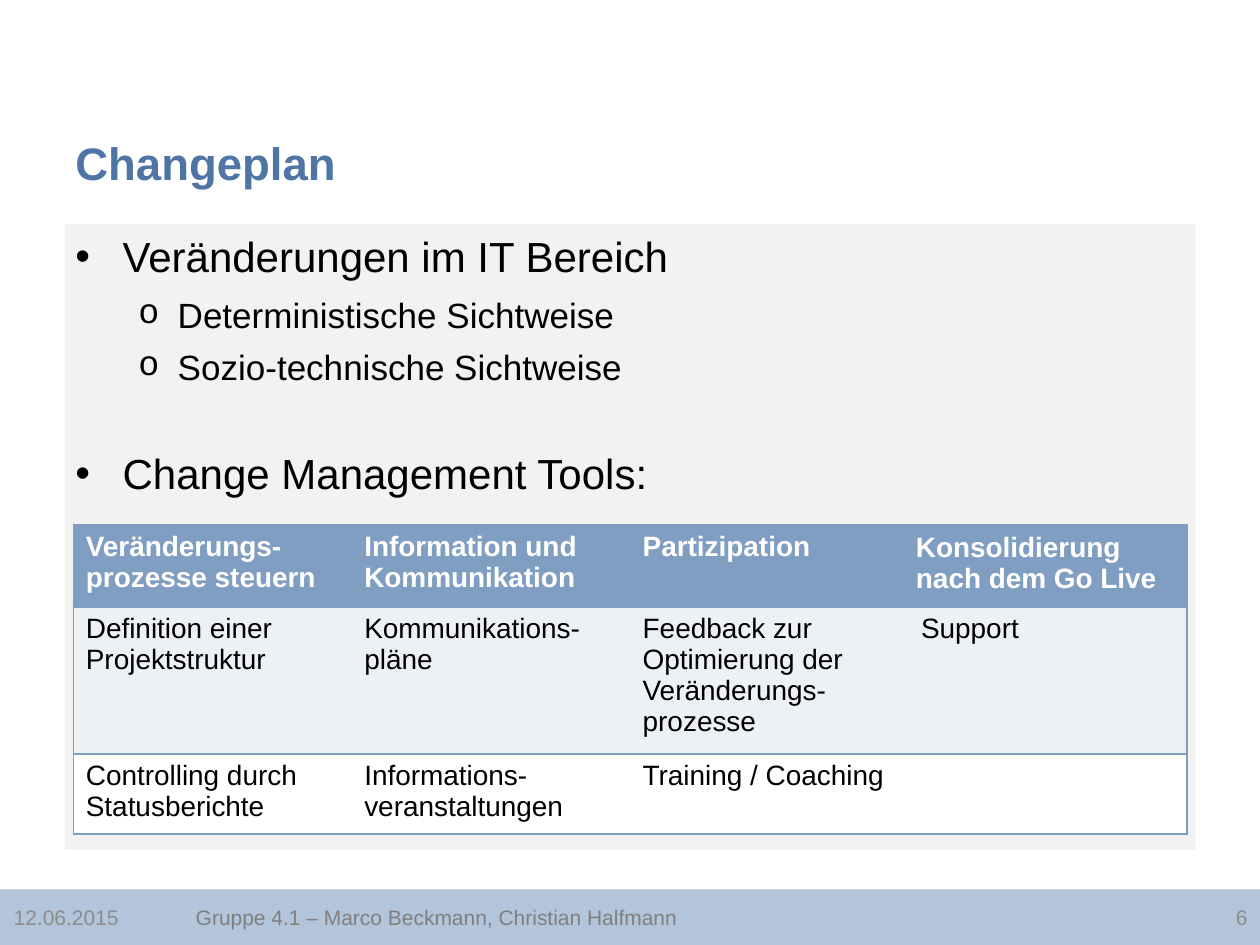
"""Build the Changeplan slide with bullets, a tools table and a footer bar."""
from lxml.etree import SubElement
from pptx import Presentation
from pptx.dml.color import RGBColor
from pptx.enum.shapes import MSO_SHAPE as SHAPE
from pptx.enum.text import MSO_ANCHOR as ANCHOR, PP_ALIGN as ALIGN
from pptx.oxml import parse_xml
from pptx.oxml.ns import nsdecls, qn
from pptx.util import Pt

BLACK = RGBColor(0x00, 0x00, 0x00)
WHITE = RGBColor(0xFF, 0xFF, 0xFF)
PANEL = RGBColor(0xF2, 0xF2, 0xF2)
BAR = RGBColor(0xB3, 0xC5, 0xDA)
TITLE = RGBColor(0x4E, 0x75, 0xA3)
BLUE = RGBColor(0x80, 0x9E, 0xC2)
BAND = RGBColor(0xED, 0xF0, 0xF4)
GREY = RGBColor(0x8C, 0x8C, 0x8C)
DARK_GREY = RGBColor(0x7F, 0x7F, 0x7F)


def write(p, text, size, color, bold=False):
    r = p.add_run()
    r.text = text
    for name, value in {"name": "Arial", "size": Pt(size), "bold": bold}.items():
        setattr(r.font, name, value)
    r.font.color.rgb = color


def text_box(s, box, anchor):
    tf = s.shapes.add_textbox(*map(Pt, box)).text_frame
    tf.word_wrap = True
    tf.vertical_anchor = anchor
    return tf


prs = Presentation()
prs.slide_width, prs.slide_height = Pt(720), Pt(540)
s = prs.slides.add_slide(prs.slide_layouts[6])

for box, color in [((36.9, 128.1, 646.2, 357.4), PANEL), ((0, 508.2, 720, 31.8), BAR)]:
    sp = s.shapes.add_shape(SHAPE.RECTANGLE, *map(Pt, box))
    sp.shadow.inherit = False
    sp.fill.solid()
    sp.fill.fore_color.rgb = color
    sp.line.fill.background()

tf = text_box(s, (36, 21.6, 648, 90), ANCHOR.BOTTOM)
write(tf.paragraphs[0], "Changeplan", 26, TITLE, True)

bullets = [
    ("Veränderungen im IT Bereich", 0, 2.5),
    ("Deterministische Sichtweise", 1, 7),
    ("Sozio-technische Sichtweise", 1, 5.7),
    ("Change Management Tools:", 0, 34.6),
]
levels = [("•", 24, 27, "Arial"), ("o", 20, 58.5, "Courier New")]
tf = text_box(s, (36, 128.1, 648, 354.2), ANCHOR.TOP)
for i, (text, level, before) in enumerate(bullets):
    p = tf.add_paragraph() if i else tf.paragraphs[0]
    char, size, margin, face = levels[level]
    p.level = level
    p.space_before = Pt(before)
    pPr = p._p.get_or_add_pPr()
    pPr.set("marL", str(Pt(margin)))
    pPr.set("indent", str(-Pt(22.5 if level else 27)))
    SubElement(pPr, qn("a:buFont")).set("typeface", face)
    SubElement(pPr, qn("a:buChar")).set("char", char)
    write(p, text, size, BLACK)

footer = [
    (0.7, 104, "12.06.2015", GREY, ALIGN.LEFT),
    (104.8, 538.8, "Gruppe 4.1 – Marco Beckmann, Christian Halfmann", DARK_GREY, ALIGN.LEFT),
    (643.6, 76.4, "6", GREY, ALIGN.RIGHT),
]
for left, width, text, color, align in footer:
    p = text_box(s, (left, 508.2, width, 31.8), ANCHOR.MIDDLE).paragraphs[0]
    p.alignment = align
    write(p, text, 12, color)

rows = [
    ["Veränderungs-prozesse steuern", "Information und Kommunikation", "Partizipation",
     "Konsolidierung nach dem Go Live"],
    ["Definition einer Projektstruktur", "Kommunikations-pläne",
     "Feedback zur Optimierung der Veränderungs-prozesse", "Support"],
    ["Controlling durch Statusberichte", "Informations-veranstaltungen",
     "Training / Coaching", ""],
]
styles = [(44.4, BLUE, WHITE), (78, BAND, BLACK), (43, WHITE, BLACK)]
table = s.shapes.add_table(3, 4, Pt(41.9), Pt(299.9), Pt(636.4), Pt(165.4)).table
table._tbl.tblPr.find(qn("a:tableStyleId")).text = "{2D5ABB26-0587-4C30-8999-92F81FD0307C}"
for col in table.columns:
    col.width = Pt(159.1)
for i, (texts, (height, fill, color)) in enumerate(zip(rows, styles)):
    table.rows[i].height = Pt(height)
    for j, text in enumerate(texts):
        cell = table.cell(i, j)
        cell.fill.solid()
        cell.fill.fore_color.rgb = fill
        if text:
            write(cell.text_frame.paragraphs[0], text, 16, color, i == 0)
        sides = ["lnL"] * (j == 0) + ["lnR"] * (j == 3) + ["lnT", "lnB"]
        for k, side in enumerate(sides):
            cell._tc.tcPr.insert(k, parse_xml(
                f'<a:{side} {nsdecls("a")} w="{Pt(1)}"><a:solidFill>'
                f'<a:srgbClr val="{BLUE}"/></a:solidFill></a:{side}>'))
for side in ("left", "right", "top", "bottom"):
    setattr(table.cell(0, 3), f"margin_{side}", Pt(4.3))

prs.save("out.pptx")
